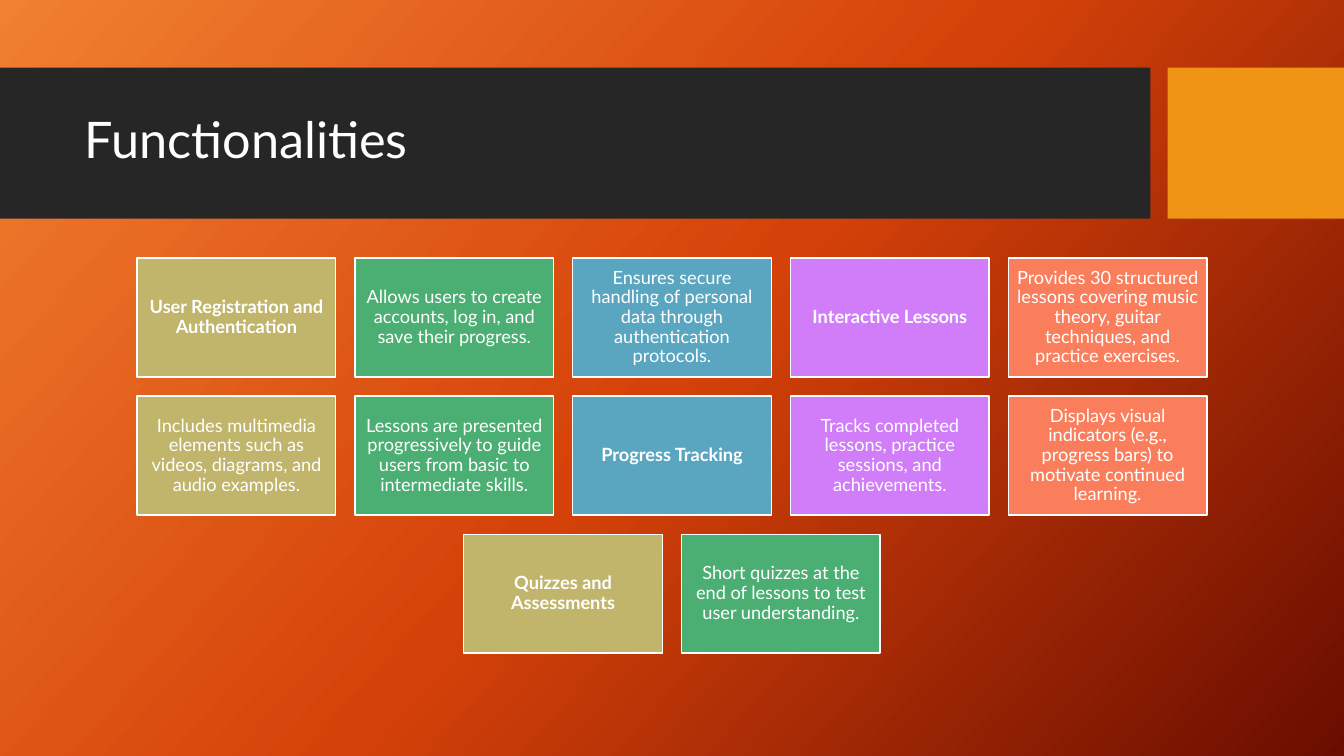
"""Build the Functionalities slide: a title band above a centred grid of feature cards."""
from copy import deepcopy

from pptx import Presentation
from pptx.dml.color import RGBColor
from pptx.enum.shapes import MSO_SHAPE
from pptx.enum.text import MSO_ANCHOR, PP_ALIGN
from pptx.oxml.ns import qn
from pptx.util import Inches, Pt

COLORS = {
    "glow": "F18031", "flame": "D54209", "ember": "6A0D00",
    "band": "262626", "accent": "F09415", "white": "FFFFFF",
    "sand": "C1B56B", "green": "4BAF73", "blue": "5AA6C0",
    "violet": "D17DF9", "coral": "FA7E5C",
}
CARD_COLORS = ["sand", "green", "blue", "violet", "coral"]
HEADINGS = {
    "User Registration and Authentication", "Interactive Lessons",
    "Progress Tracking", "Quizzes and Assessments",
}
ROWS = [
    ["User Registration and Authentication",
     "Allows users to create accounts, log in, and save their progress.",
     "Ensures secure handling of personal data through authentication protocols.",
     "Interactive Lessons",
     "Provides 30 structured lessons covering music theory, guitar techniques, and practice exercises."],
    ["Includes multimedia elements such as videos, diagrams, and audio examples.",
     "Lessons are presented progressively to guide users from basic to intermediate skills.",
     "Progress Tracking",
     "Tracks completed lessons, practice sessions, and achievements.",
     "Displays visual indicators (e.g., progress bars) to motivate continued learning."],
    ["Quizzes and Assessments",
     "Short quizzes at the end of lessons to test user understanding."],
]
SLIDE_W, CARD_W, CARD_H = 13.33, 1.97, 1.18
PITCH_X, PITCH_Y, GRID_TOP = 2.16, 1.37, 2.56


def add_box(s, x, y, w, h, color):
    """Add a plain filled rectangle without outline or shadow."""
    sp = s.shapes.add_shape(MSO_SHAPE.RECTANGLE, Inches(x), Inches(y), Inches(w), Inches(h))
    sp.shadow.inherit = False
    sp.fill.solid()
    sp.fill.fore_color.rgb = RGBColor.from_string(COLORS[color])
    sp.line.fill.background()
    return sp


def write(sp, text, size, align, bold=False):
    """Write one vertically centred white paragraph into a shape."""
    tf = sp.text_frame
    tf.word_wrap = True
    tf.vertical_anchor = MSO_ANCHOR.MIDDLE
    p = tf.paragraphs[0]
    p.alignment = align
    p.line_spacing = 0.9
    r = p.add_run()
    r.text = text
    r.font.name = "Lato"
    r.font.size = Pt(size)
    r.font.bold = bold
    r.font.color.rgb = RGBColor.from_string(COLORS["white"])
    return tf


prs = Presentation()
prs.slide_width, prs.slide_height = Inches(SLIDE_W), Inches(7.5)
s = prs.slides.add_slide(prs.slide_layouts[6])

fill = s.background.fill
fill.gradient()
fill.gradient_angle = 360 - 42
gs_list = next(s.element.iter(qn("a:gsLst")))
gs_list.append(deepcopy(gs_list[-1]))
for stop, color, position in zip(fill.gradient_stops, ["glow", "flame", "ember"], [0, 0.5, 1]):
    stop.color.rgb = RGBColor.from_string(COLORS[color])
    stop.position = position

add_box(s, 0, 0.67, 11.41, 1.5, "band")
add_box(s, 11.58, 0.67, 1.75, 1.5, "accent")
title = s.shapes.add_textbox(Inches(0.74), Inches(0.82), Inches(10.51), Inches(1.18))
write(title, "Functionalities", 36, PP_ALIGN.LEFT)

for row, texts in enumerate(ROWS):
    left = (SLIDE_W - CARD_W - (len(texts) - 1) * PITCH_X) / 2
    for col, text in enumerate(texts):
        card = add_box(s, left + col * PITCH_X, GRID_TOP + row * PITCH_Y,
                       CARD_W, CARD_H, CARD_COLORS[col])
        card.line.color.rgb = RGBColor.from_string(COLORS["white"])
        card.line.width = Pt(1)
        tf = write(card, text, 13, PP_ALIGN.CENTER, text in HEADINGS)
        tf.margin_left = tf.margin_right = tf.margin_top = tf.margin_bottom = Inches(0.05)

prs.save("out.pptx")
